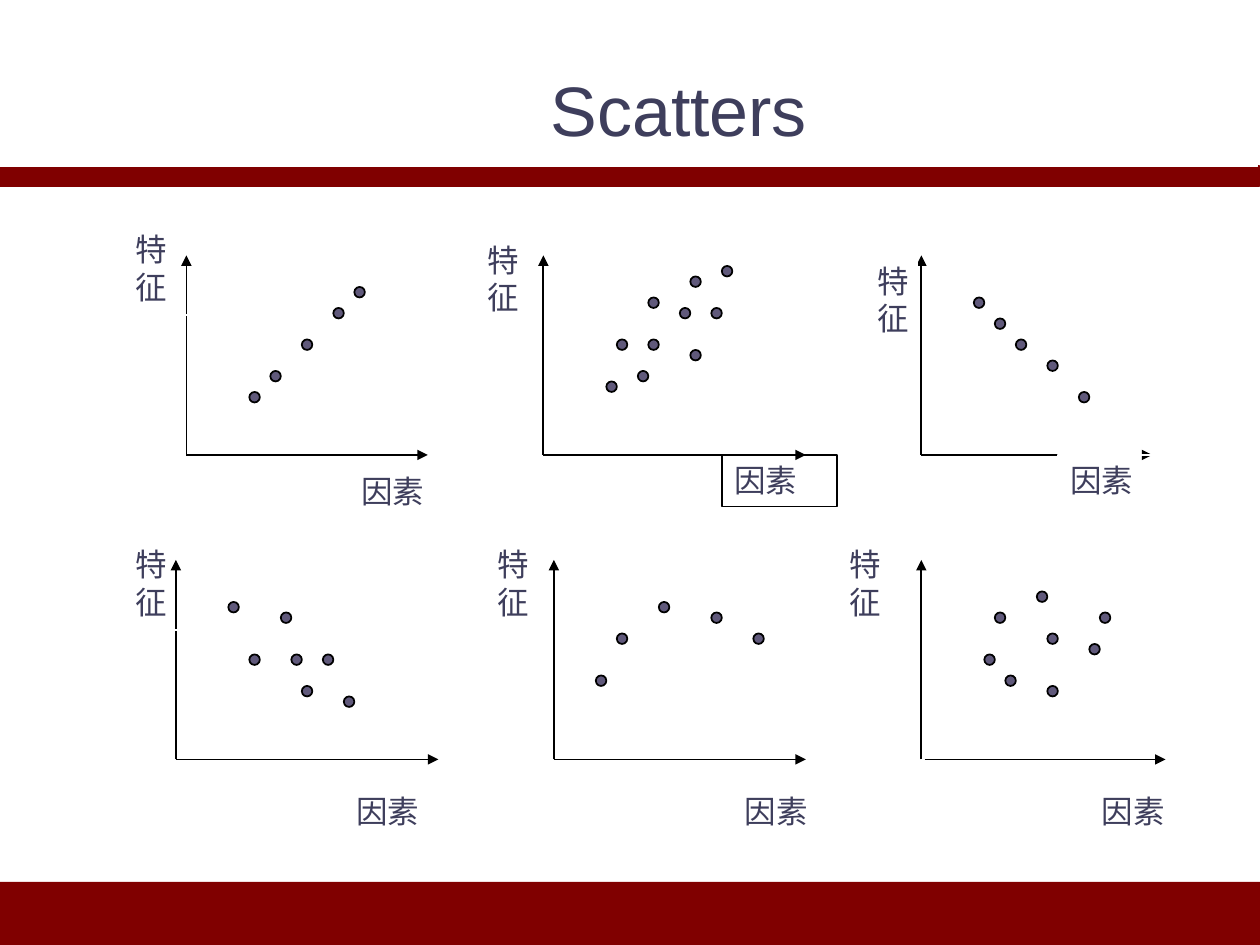
from pptx import Presentation
from pptx.dml.color import RGBColor
from pptx.enum.shapes import MSO_CONNECTOR, MSO_SHAPE
from pptx.enum.text import MSO_ANCHOR, PP_ALIGN
from pptx.oxml.ns import qn
from pptx.util import Inches, Pt
from lxml import etree

RECT, OVAL = MSO_SHAPE.RECTANGLE, MSO_SHAPE.OVAL
STRAIGHT = MSO_CONNECTOR.STRAIGHT
TOP, LEFT = MSO_ANCHOR.TOP, PP_ALIGN.LEFT
MAROON, WHITE, BLACK, INK, DOT = "800000", "FFFFFF", "000000", "3E3E5C", "60597B"

prs = Presentation()
prs.slide_width, prs.slide_height = Inches(10), Inches(7.5)
s = prs.slides.add_slide(prs.slide_layouts[6])
U = prs.slide_width / 120
DX, DY = -0.25, 0.33


def shape(kind, x, y, w, h, fill=None, line=None, weight=1):
    sp = s.shapes.add_shape(kind, *(round(v * U) for v in (x, y, w, h)))
    sp.shadow.inherit = False
    if fill:
        sp.fill.solid()
        sp.fill.fore_color.rgb = RGBColor.from_string(fill)
    else:
        sp.fill.background()
    if line:
        sp.line.color.rgb = RGBColor.from_string(line)
        sp.line.width = Pt(weight)
    else:
        sp.line.fill.background()
    return sp


def write(sp, text, size=18, font="Times New Roman", color=INK, wrap=True):
    tf = sp.text_frame
    tf.word_wrap = wrap
    tf.vertical_anchor = TOP
    p = tf.paragraphs[0]
    p.alignment = LEFT
    r = p.add_run()
    r.text = text
    r.font.size = Pt(size)
    r.font.name = font
    r.font.color.rgb = RGBColor.from_string(color)


shape(RECT, 0, 84, 120, 6, MAROON)
shape(RECT, -0.1, 15.75, 120, 2, MAROON, MAROON, 0.75)
shape(RECT, -0.2, 0.1, 120, 15.75, WHITE, WHITE, 0.75)

plots = [
    dict(x=18, base=43, end=41, y_label=(12, 21, 7), x_label=(33.5, 44, 13),
         dots=[(26, 35), (29, 32), (24, 37), (32, 29), (34, 27)]),
    dict(x=52, base=43, end=77, y_label=(45.5, 22, 5), x_label=(69, 43, 11), frame=BLACK,
         dots=[(58, 36), (61, 35), (59, 32), (62, 32), (62, 28),
               (65, 29), (66, 33), (69, 25), (68, 29), (66, 26)]),
    dict(x=88, base=43, end=110, y_label=(82.6, 24, 5), x_label=(101, 43, 10),
         dots=[(103, 37), (100, 34), (97, 32), (93, 28), (95, 30)]),
    dict(x=17, base=72, end=42, y_label=(12, 51, 6), x_label=(33, 74.5, 12),
         dots=[(22, 57), (27, 58), (24, 62), (31, 62), (29, 65), (33, 66), (28, 62)]),
    dict(x=53, base=72, end=77, y_label=(46.5, 51, 5), x_label=(70, 74.5, 10),
         dots=[(59, 60), (63, 57), (68, 58), (57, 64), (72, 60)]),
    dict(x=88, base=72, start=88.3, end=111.25, y_label=(80, 51, 5), x_label=(104, 74.5, 10),
         dots=[(99, 56), (100, 65), (95, 58), (105, 58), (94, 62),
               (104, 61), (100, 60), (96, 64)]),
]

for plot in plots:
    x, base = plot["x"], plot["base"]
    for x1, x2, y2 in ((x, x, base - 19), (plot.get("start", x), plot["end"], base)):
        ends = (x1 + DX, base + DY, x2 + DX, y2 + DY)
        axis = s.shapes.add_connector(STRAIGHT, *(round(v * U) for v in ends))
        axis.line.color.rgb = RGBColor.from_string(BLACK)
        axis.line.width = Pt(1)
        etree.SubElement(axis.line._get_or_add_ln(), qn("a:tailEnd"), type="triangle")
        etree.SubElement(axis._element.spPr, qn("a:effectLst"))

for plot in plots:
    for col, row in plot["dots"]:
        shape(OVAL, col + DX, row + DY, 1, 1, DOT, BLACK)

for key, text, height in (("y_label", "特征", 8.67), ("x_label", "因素", 4.9)):
    for plot in plots:
        col, row, width = plot[key]
        frame = plot.get("frame", WHITE) if key == "x_label" else WHITE
        write(shape(RECT, col + DX, row + DY, width, height, line=frame), text)

title = s.shapes.add_textbox(*(round(v * U) for v in (51.25, 5.75, 26.9, 9.25)))
write(title, "Scatters", size=40, font="Arial", wrap=False)

prs.save("out.pptx")
